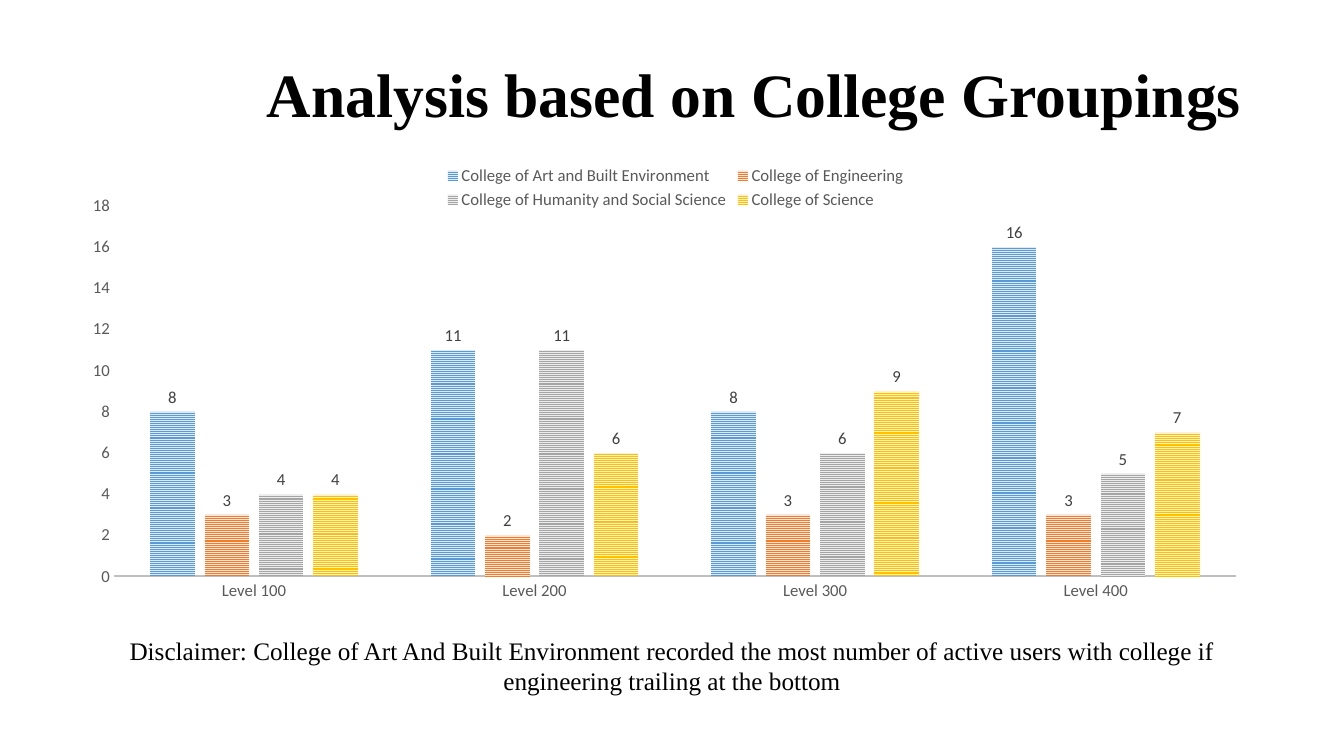
from dataclasses import dataclass

from lxml import etree
from pptx import Presentation
from pptx import util as u
from pptx.chart.data import CategoryChartData
from pptx.dml.color import RGBColor
from pptx.enum import chart as charts
from pptx.enum import dml, text
from pptx.oxml.ns import qn

BLACK = RGBColor(0x00, 0x00, 0x00)
AXIS_TEXT = RGBColor(0x59, 0x59, 0x59)
AXIS_LINE = RGBColor(0xBF, 0xBF, 0xBF)
LABEL_TEXT = RGBColor(0x40, 0x40, 0x40)
BLUE, PALE_BLUE = RGBColor(0x5B, 0x9B, 0xD5), RGBColor(0xDE, 0xEB, 0xF7)
ORANGE, PALE_ORANGE = RGBColor(0xED, 0x7D, 0x31), RGBColor(0xFB, 0xE5, 0xD6)
GRAY, PALE_GRAY = RGBColor(0xA5, 0xA5, 0xA5), RGBColor(0xED, 0xED, 0xED)
GOLD, PALE_GOLD = RGBColor(0xFF, 0xC0, 0x00), RGBColor(0xFF, 0xF2, 0xCC)

LEVELS = ("Level 100", "Level 200", "Level 300", "Level 400")
PLOT_PERCENT = {"x": 1.3, "y": 11.4, "w": 97.3, "h": 82.3}


@dataclass(frozen=True)
class Box:
    left: float
    top: float
    width: float
    height: float

    def lengths(self) -> tuple:
        return tuple(map(u.Inches, (self.left, self.top, self.width, self.height)))


@dataclass(frozen=True)
class College:
    name: str
    users: tuple[int, ...]
    stripe: RGBColor
    ground: RGBColor


@dataclass(frozen=True)
class Caption:
    wording: str
    box: Box
    size: int
    bold: bool
    alignment: text.PP_ALIGN
    anchor: text.MSO_ANCHOR
    line_spacing: float


COLLEGES = (
    College("College of Art and Built Environment", (8, 11, 8, 16), BLUE, PALE_BLUE),
    College("College of Engineering", (3, 2, 3, 3), ORANGE, PALE_ORANGE),
    College("College of Humanity and Social Science", (4, 11, 6, 5), GRAY, PALE_GRAY),
    College("College of Science", (4, 6, 9, 7), GOLD, PALE_GOLD),
)
TITLE = Caption(
    "Analysis based on College Groupings", Box(0.92, 0.4, 11.5, 1.13),
    44, True, text.PP_ALIGN.RIGHT, text.MSO_ANCHOR.MIDDLE, 0.9,
)
DISCLAIMER = Caption(
    "Disclaimer: College of Art And Built Environment recorded the most number of "
    "active users with college if engineering trailing at the bottom",
    Box(0.64, 6.25, 12.05, 0.71),
    18, False, text.PP_ALIGN.CENTER, text.MSO_ANCHOR.TOP, 1.0,
)
CHART_BOX = Box(0.92, 1.53, 11.5, 4.47)


def style_font(font, name: str, size: int, color: RGBColor, bold: bool = False) -> None:
    font.name = name
    font.size = u.Pt(size)
    font.color.rgb = color
    font.bold = bold


def add_caption(slide, caption: Caption) -> None:
    frame = slide.shapes.add_textbox(*caption.box.lengths()).text_frame
    frame.word_wrap = True
    frame.vertical_anchor = caption.anchor
    paragraph = frame.paragraphs[0]
    paragraph.alignment = caption.alignment
    paragraph.line_spacing = caption.line_spacing
    run = paragraph.add_run()
    run.text = caption.wording
    style_font(run.font, "Times New Roman", caption.size, BLACK, caption.bold)


def place_plot(chart) -> None:
    """Fix the inner plot area as a share of the chart frame."""
    plot_area = chart.plots[0]._element.getparent()
    for automatic in plot_area.findall(qn("c:layout")):
        plot_area.remove(automatic)
    layout = etree.Element(qn("c:layout"))
    plot_area.insert(0, layout)
    manual = etree.SubElement(layout, qn("c:manualLayout"))
    settings = {"layoutTarget": "inner", "xMode": "edge", "yMode": "edge"}
    settings |= {side: f"{share / 100:.3f}" for side, share in PLOT_PERCENT.items()}
    for tag, value in settings.items():
        etree.SubElement(manual, qn(f"c:{tag}"), val=value)


def style_axes(chart) -> None:
    for axis in (chart.category_axis, chart.value_axis):
        axis.has_major_gridlines = False
        axis.major_tick_mark = charts.XL_TICK_MARK.NONE
        axis.minor_tick_mark = charts.XL_TICK_MARK.NONE
        style_font(axis.tick_labels.font, "Calibri", 12, AXIS_TEXT)
    chart.category_axis.format.line.color.rgb = AXIS_LINE
    chart.category_axis.format.line.width = u.Pt(1.5)
    chart.value_axis.format.line.fill.background()
    chart.value_axis.minimum_scale = 0
    chart.value_axis.maximum_scale = 18
    chart.value_axis.major_unit = 2


def style_series(series, college: College) -> None:
    fill = series.format.fill
    fill.patterned()
    fill.pattern = dml.MSO_PATTERN.NARROW_HORIZONTAL
    fill.fore_color.rgb = college.stripe
    fill.back_color.rgb = college.ground
    series.format.line.fill.background()
    labels = series.data_labels
    labels.show_value = True
    labels.position = charts.XL_LABEL_POSITION.OUTSIDE_END
    style_font(labels.font, "Calibri", 12, LABEL_TEXT)


def add_college_chart(slide) -> None:
    data = CategoryChartData()
    data.categories = LEVELS
    for college in COLLEGES:
        data.add_series(college.name, college.users)
    chart = slide.shapes.add_chart(
        charts.XL_CHART_TYPE.COLUMN_CLUSTERED, *CHART_BOX.lengths(), data
    ).chart
    style_font(chart.font, "Calibri", 10, BLACK)
    chart.has_title = False
    chart.has_legend = True
    chart.legend.position = charts.XL_LEGEND_POSITION.TOP
    chart.legend.include_in_layout = False
    style_font(chart.legend.font, "Calibri", 12, AXIS_TEXT)
    plot = chart.plots[0]
    plot.vary_by_categories = False
    plot.gap_width = 164
    plot.overlap = -22
    for series, college in zip(plot.series, COLLEGES):
        style_series(series, college)
    style_axes(chart)
    place_plot(chart)


def main() -> None:
    presentation = Presentation()
    presentation.slide_width = u.Inches(13.33)
    presentation.slide_height = u.Inches(7.5)
    slide = presentation.slides.add_slide(presentation.slide_layouts[6])
    add_caption(slide, TITLE)
    add_college_chart(slide)
    add_caption(slide, DISCLAIMER)
    presentation.save("out.pptx")


if __name__ == "__main__":
    main()
